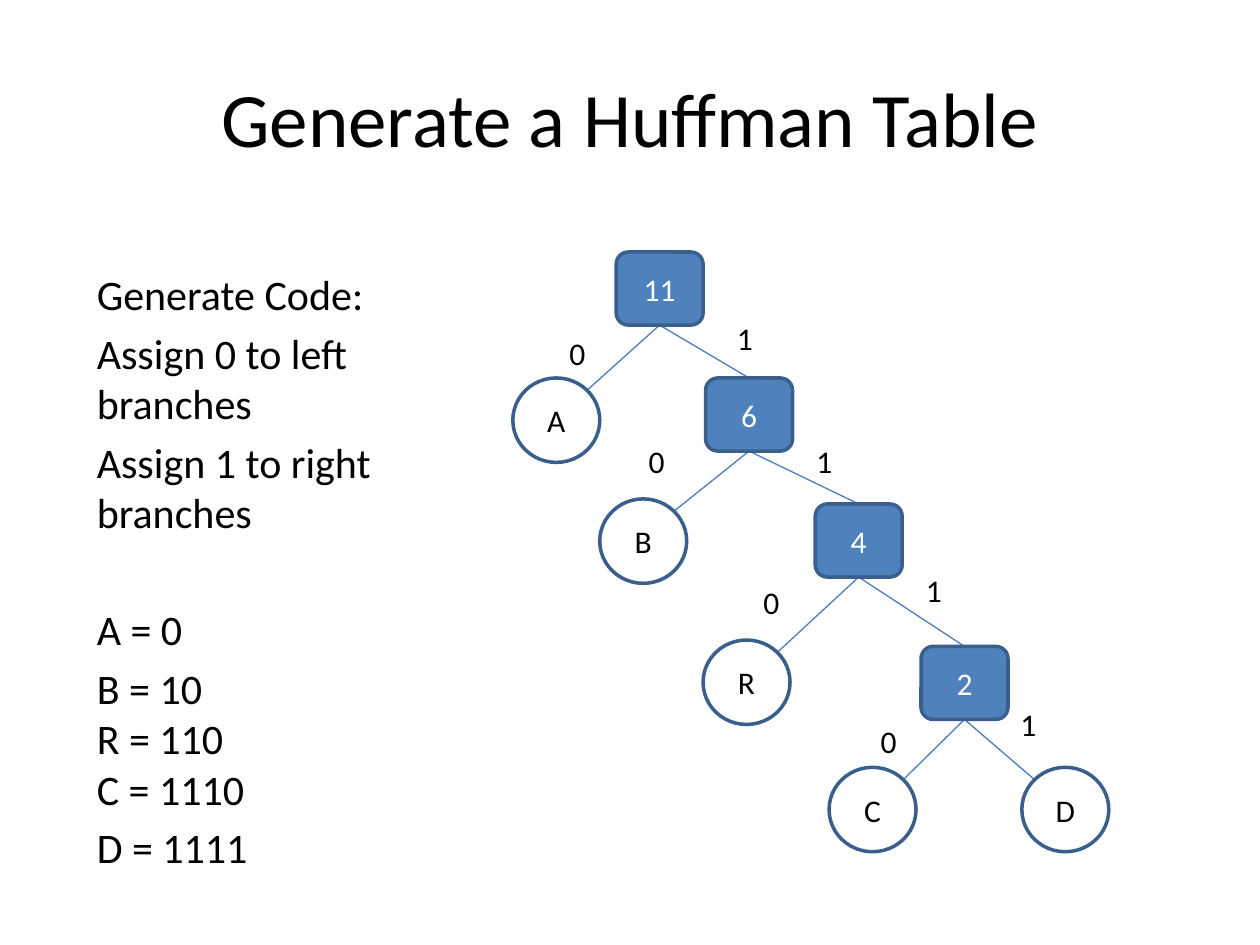
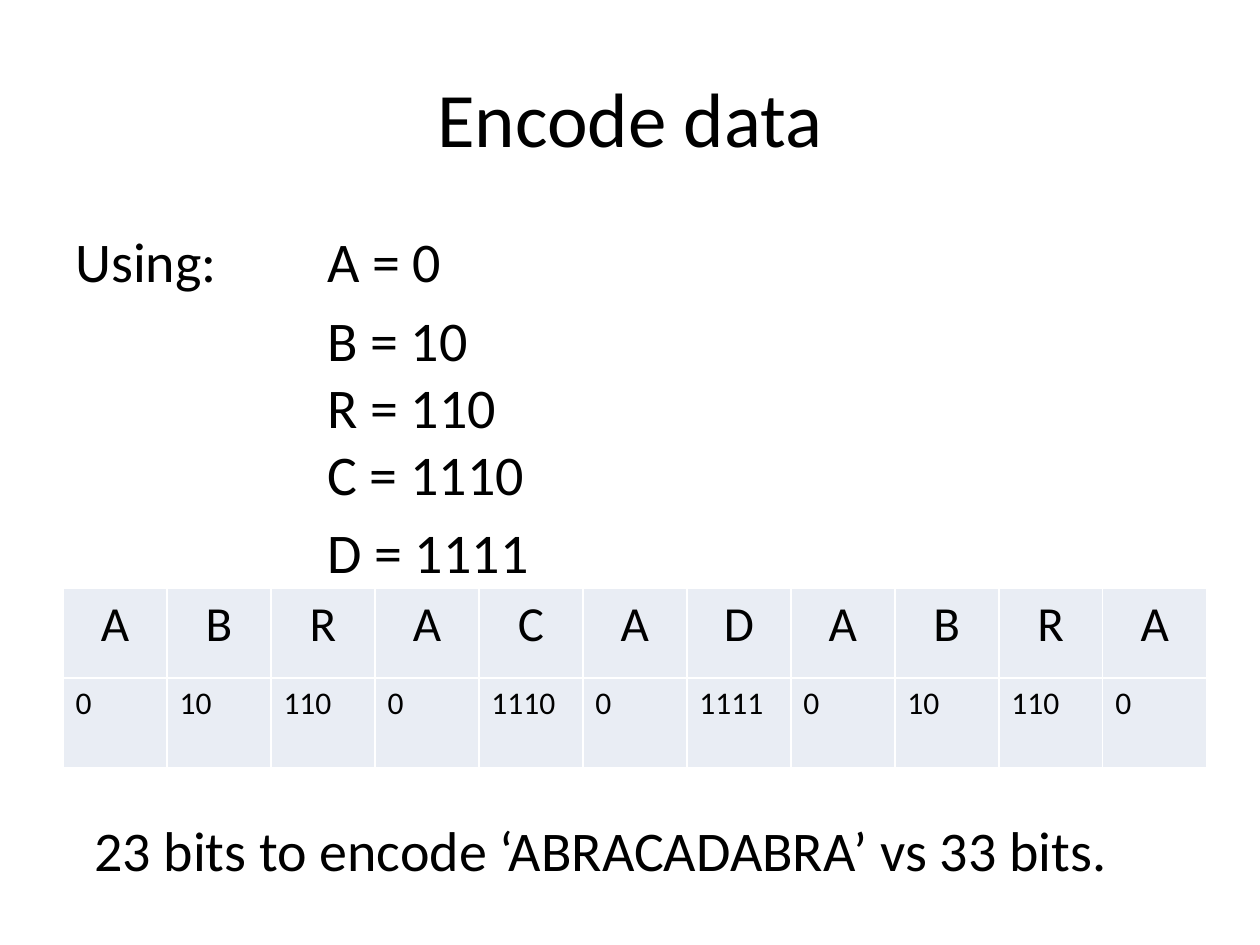
import math
from lxml import etree
from pptx import Presentation
from pptx import util as u
from pptx.dml.color import RGBColor
from pptx.enum import shapes, text
from pptx.oxml import ns

COLORS = {
    "ink": "000000",
    "paper": "FFFFFF",
    "node": "4F81BD",
    "outline": "3A5F8C",
    "branch": "4B7EBC",
    "cell": "E9EDF4",
}
FONT = "Calibri"
NODE_WIDTH, INNER_HEIGHT, LEAF_HEIGHT = 0.69, 0.58, 0.67


def color(name):
    return RGBColor.from_string(COLORS[name])


class Slides:
    def __init__(self):
        self.deck = Presentation()
        self.deck.slide_width = u.Inches(10)
        self.deck.slide_height = u.Inches(7.5)
        self.page = None

    def set_text(self, frame, lines, size, ink="ink", align=text.PP_ALIGN.LEFT):
        frame.text = "\n".join(lines)
        frame.word_wrap = True
        for para in frame.paragraphs:
            para.alignment = align
            for span in para.runs:
                span.font.size = u.Pt(size)
                span.font.name = FONT
                span.font.color.rgb = color(ink)

    def add_page(self, title):
        self.page = self.deck.slides.add_slide(self.deck.slide_layouts[5])
        self.page.background.fill.solid()
        self.page.background.fill.fore_color.rgb = color("paper")
        box = self.page.shapes.title
        box.left, box.top = u.Inches(0.5), u.Inches(0.3)
        box.width, box.height = u.Inches(9), u.Inches(1.25)
        self.set_text(box.text_frame, [title], 44, align=text.PP_ALIGN.CENTER)
        box.text_frame.vertical_anchor = text.MSO_ANCHOR.MIDDLE

    def text_box(self, left, top, width, height, lines, size, spaced=True):
        box = self.page.shapes.add_textbox(*map(u.Inches, (left, top, width, height)))
        self.set_text(box.text_frame, lines, size)
        if spaced:
            for para in box.text_frame.paragraphs:
                para.space_before = u.Pt(size * 0.2)
        return box.text_frame.paragraphs

    def node(self, left, top, label, leaf):
        kind = shapes.MSO_SHAPE.OVAL if leaf else shapes.MSO_SHAPE.ROUNDED_RECTANGLE
        height = LEAF_HEIGHT if leaf else INNER_HEIGHT
        shape = self.page.shapes.add_shape(
            kind, *map(u.Inches, (left, top, NODE_WIDTH, height)))
        shape.shadow.inherit = False
        shape.fill.solid()
        shape.fill.fore_color.rgb = color("paper" if leaf else "node")
        shape.line.color.rgb = color("outline")
        shape.line.width = u.Pt(2)
        self.set_text(shape.text_frame, [label], 18, "ink" if leaf else "paper",
                      text.PP_ALIGN.CENTER)
        shape.text_frame.vertical_anchor = text.MSO_ANCHOR.MIDDLE

    def branch(self, start, end):
        line = self.page.shapes.add_connector(
            shapes.MSO_CONNECTOR.STRAIGHT, *map(u.Inches, (*start, *end)))
        line.line.color.rgb = color("branch")
        line.line.width = u.Pt(0.75)
        etree.SubElement(line._element.spPr, ns.qn("a:effectLst"))

    def borders(self, cell):
        properties = cell._tc.get_or_add_tcPr()
        for side in ("lnL", "lnR", "lnT", "lnB"):
            edge = etree.SubElement(properties, ns.qn("a:" + side), w=str(u.Pt(1)))
            fill = etree.SubElement(edge, ns.qn("a:solidFill"))
            etree.SubElement(fill, ns.qn("a:srgbClr"), val=COLORS["paper"])

    def table(self, left, top, width, height, rows, styles):
        table = self.page.shapes.add_table(
            len(rows), len(rows[0]), *map(u.Inches, (left, top, width, height))).table
        table.first_row = table.horz_banding = False
        for row, (values, (size, align)) in enumerate(zip(rows, styles)):
            for column, value in enumerate(values):
                cell = table.cell(row, column)
                self.borders(cell)
                cell.fill.solid()
                cell.fill.fore_color.rgb = color("cell")
                self.set_text(cell.text_frame, [value], size, align=align)


def inner_top(left, top):
    return left + NODE_WIDTH / 2, top


def leaf_corner(left, top, side):
    reach = math.sqrt(0.5)
    return (left + NODE_WIDTH / 2 * (1 + side * reach),
            top + LEAF_HEIGHT / 2 * (1 - reach))


codes = {"A": "0", "B": "10", "R": "110", "C": "1110", "D": "1111"}
code_lines = [f"{letter} = {code}" for letter, code in codes.items()]
code_paragraphs = [code_lines[0], "\v".join(code_lines[1:4]), code_lines[4]]

inner_nodes = [("11", 4.89, 2), ("6", 5.6, 3), ("4", 6.47, 4), ("2", 7.31, 5.13)]
left_leaves = [("A", 4.07, 3), ("B", 4.76, 3.96), ("R", 5.58, 5.08), ("C", 6.58, 6.09)]
last_leaf = ("D", 8.11, 6.09)
zeros = [(4.42, 2.6), (5.05, 3.46), (5.96, 4.58), (6.89, 5.68)]
ones = [(5.75, 2.48), (6.38, 3.46), (7.25, 4.48), (8, 5.55)]

slides = Slides()

slides.add_page("Generate a Huffman Table")
right_ends = [inner_top(*place) for _, *place in inner_nodes[1:]]
right_ends.append(leaf_corner(*last_leaf[1:], -1))
for (_, left, top), leaf, right_end in zip(inner_nodes, left_leaves, right_ends):
    start = (left + NODE_WIDTH / 2, top + INNER_HEIGHT)
    slides.branch(start, leaf_corner(*leaf[1:], 1))
    slides.branch(start, right_end)
for label, left, top in inner_nodes:
    slides.node(left, top, label, leaf=False)
for label, left, top in left_leaves + [last_leaf]:
    slides.node(left, top, label, leaf=True)
for digit, width, places in (("0", 0.58, zeros), ("1", 0.75, ones)):
    for left, top in places:
        slides.text_box(left, top, width, 0.4, [digit], 18, spaced=False)
steps = ["Generate Code:", "Assign 0 to left branches", "Assign 1 to right branches"]
paragraphs = slides.text_box(0.67, 2.08, 2.67, 4.83, steps + code_paragraphs, 24)
paragraphs[len(steps)].space_before = u.Pt(38)

slides.add_page("Encode data")
paragraphs = slides.text_box(
    0.5, 1.75, 9, 2.92, ["Using: \t" + code_paragraphs[0]] + code_paragraphs[1:], 32)
for index, para in enumerate(paragraphs):
    properties = para._p.get_or_add_pPr()
    properties.set("marL", str(u.Inches(2)))
    properties.set("indent", str(0 if index else -u.Inches(2)))
word = "ABRACADABRA"
slides.table(0.5, 4.67, 9.08, 1.42, [list(word), [codes[letter] for letter in word]],
             [(28, text.PP_ALIGN.CENTER), (18, text.PP_ALIGN.LEFT)])
slides.text_box(0.65, 6.42, 9, 0.75, [f"23 bits to encode ‘{word}’ vs 33 bits."], 32)

slides.deck.save("out.pptx")
